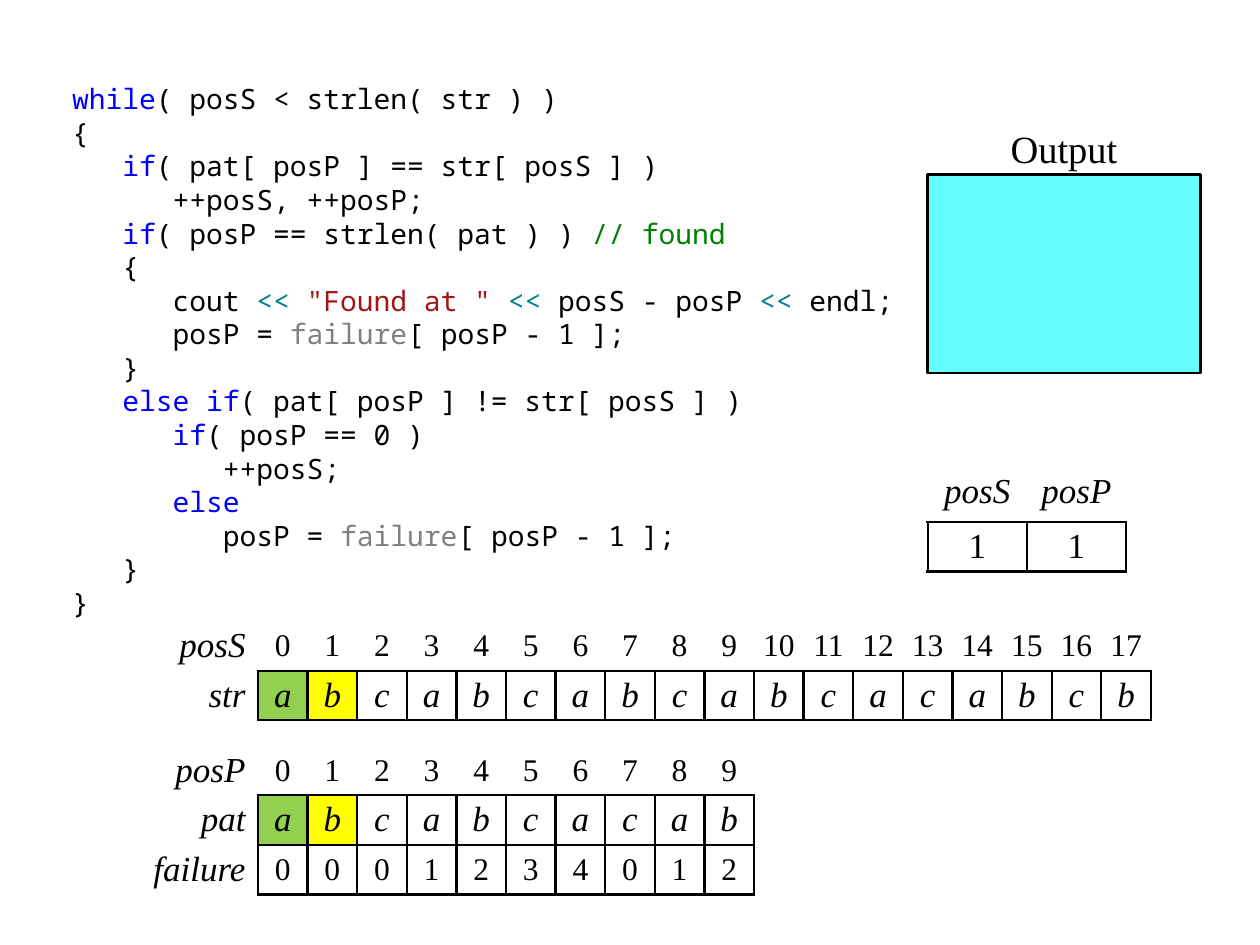
from dataclasses import dataclass, replace
from typing import NamedTuple, Optional

from lxml.etree import SubElement
from pptx import Presentation
from pptx.dml.color import RGBColor
from pptx.enum.shapes import MSO_SHAPE
from pptx.enum.text import MSO_ANCHOR, MSO_AUTO_SIZE, PP_ALIGN
from pptx.oxml.ns import qn
from pptx.util import Emu, Pt

EMU_PER_PX = 3600
CODE_FONT = "Noto Sans Mono"
SERIF_FONT = "Times New Roman"
PLAIN_TABLE_STYLE = "{2D5ABB26-0587-4C30-8999-92F81FD0307C}"
BLACK = RGBColor(0x00, 0x00, 0x00)
WHITE = RGBColor(0xFF, 0xFF, 0xFF)
BLUE = RGBColor(0x00, 0x00, 0xFF)
COMMENT_GREEN = RGBColor(0x00, 0x80, 0x00)
TEAL = RGBColor(0x00, 0x80, 0x80)
STRING_RED = RGBColor(0xA3, 0x15, 0x15)
GRAY = RGBColor(0x80, 0x80, 0x80)
CYAN = RGBColor(0x66, 0xFF, 0xFF)
MATCHED_GREEN = RGBColor(0x92, 0xD0, 0x50)
CURRENT_YELLOW = RGBColor(0xFF, 0xFF, 0x00)
LINE_WIDTH = Pt(1.5)
CELL = 100


class Span(NamedTuple):
    text: str
    color: RGBColor = BLACK


class Box(NamedTuple):
    left: int
    top: int
    width: int
    height: int

    def emu(self) -> list[Emu]:
        return [px(length) for length in self]


@dataclass(frozen=True)
class CellStyle:
    size: int = 20
    italic: bool = True
    align: PP_ALIGN = PP_ALIGN.CENTER
    anchor: MSO_ANCHOR = MSO_ANCHOR.MIDDLE
    margin: int = 25
    sides: str = ""
    fill: Optional[RGBColor] = None


class Cell(NamedTuple):
    text: str
    style: CellStyle


SHIFT = Span("<< ", TEAL)
FAILURE = Span("failure", GRAY)
IF = Span("if", BLUE)
CODE = [
    [Span("while", BLUE), Span("( posS < strlen( str ) )")],
    [Span("{")],
    [Span("   "), IF, Span("( pat[ posP ] == str[ posS ] )")],
    [Span("      ++posS, ++posP;")],
    [Span("   "), IF, Span("( posP == strlen( pat ) ) "), Span("// found", COMMENT_GREEN)],
    [Span("   {")],
    [Span("      cout "), SHIFT, Span('"Found at " ', STRING_RED), SHIFT,
     Span("posS - posP "), SHIFT, Span("endl;")],
    [Span("      posP = "), FAILURE, Span("[ posP - 1 ];")],
    [Span("   }")],
    [Span("   "), Span("else if", BLUE), Span("( pat[ posP ] != str[ posS ] )")],
    [Span("      "), IF, Span("( posP == 0 )")],
    [Span("         ++posS;")],
    [Span("      "), Span("else", BLUE)],
    [Span("         posP = "), FAILURE, Span("[ posP - 1 ];")],
    [Span("   }")],
    [Span("}")],
]

LABEL = CellStyle(align=PP_ALIGN.RIGHT)
BOXED_LABEL = replace(LABEL, sides="R")
INDEX = CellStyle(size=18, italic=False, sides="B")
LETTER = CellStyle(sides="LRTB", fill=WHITE)
NUMBER = replace(LETTER, size=18, italic=False)
COUNTER_NAME = CellStyle(anchor=MSO_ANCHOR.TOP, margin=0, sides="B")
COUNTER = CellStyle(italic=False, margin=20, sides="LRTB", fill=WHITE)


def px(length: int) -> Emu:
    return Emu(length * EMU_PER_PX)


def add_code(slide, box: Box) -> None:
    code = slide.placeholders[1]
    code.left, code.top, code.width, code.height = box.emu()
    frame = code.text_frame
    frame.word_wrap = True
    frame.auto_size = MSO_AUTO_SIZE.NONE
    frame.vertical_anchor = MSO_ANCHOR.TOP
    frame.margin_right = px(10)
    for number, line in enumerate(CODE):
        para = frame.add_paragraph() if number else frame.paragraphs[0]
        properties = para._p.get_or_add_pPr()
        properties.set("marL", "0")
        properties.set("indent", "0")
        SubElement(properties, qn("a:buNone"))
        para.space_before = Pt(0)
        para.line_spacing = Pt(19.2)
        for span in line:
            run = para.add_run()
            run.text = span.text
            run.font.name = CODE_FONT
            run.font.size = Pt(16)
            run.font.color.rgb = span.color


def format_serif(para, size: int, italic: bool, align: PP_ALIGN) -> None:
    para.alignment = align
    for run in para.runs:
        run.font.name = SERIF_FONT
        run.font.size = Pt(size)
        run.font.italic = italic
        run.font.color.rgb = BLACK


def draw_cell(table_cell, cell: Cell) -> None:
    style = cell.style
    table_cell.text_frame.text = cell.text
    format_serif(table_cell.text_frame.paragraphs[0], style.size, style.italic, style.align)
    table_cell.vertical_anchor = style.anchor
    table_cell.margin_left = table_cell.margin_right = px(style.margin)
    table_cell.margin_top = table_cell.margin_bottom = 0
    properties = table_cell._tc.get_or_add_tcPr()
    for side in style.sides:
        line = SubElement(properties, qn(f"a:ln{side}"), w=str(LINE_WIDTH))
        SubElement(SubElement(line, qn("a:solidFill")), qn("a:srgbClr"), val=str(BLACK))
    if style.fill is None:
        table_cell.fill.background()
    else:
        table_cell.fill.solid()
        table_cell.fill.fore_color.rgb = style.fill


def add_grid(slide, left: int, top: int, widths: list[int], rows: list[list[Cell]]) -> None:
    box = Box(left, top, sum(widths), CELL * len(rows))
    frame = slide.shapes.add_table(len(rows), len(widths), *box.emu())
    table = frame.table
    table.first_row = table.horz_banding = False
    table._tbl.tblPr.find(qn("a:tableStyleId")).text = PLAIN_TABLE_STYLE
    for column, width in zip(table.columns, widths):
        column.width = px(width)
    for row_number, row in enumerate(rows):
        table.rows[row_number].height = px(CELL)
        for column_number, cell in enumerate(row):
            draw_cell(table.cell(row_number, column_number), cell)


def string_rows(index_name: str, name: str, letters: str, margin: int) -> list[list[Cell]]:
    fills = [MATCHED_GREEN, CURRENT_YELLOW] + [WHITE] * (len(letters) - 2)
    index_style = replace(INDEX, margin=margin)
    return [
        [Cell(index_name, LABEL)] + [Cell(str(i), index_style) for i in range(len(letters))],
        [Cell(name, BOXED_LABEL)] + [
            Cell(letter, replace(LETTER, margin=margin, fill=fill))
            for letter, fill in zip(letters, fills)
        ],
    ]


def add_output(slide, screen_box: Box, caption_box: Box) -> None:
    screen = slide.shapes.add_shape(MSO_SHAPE.RECTANGLE, *screen_box.emu())
    screen.shadow.inherit = False
    screen.fill.solid()
    screen.fill.fore_color.rgb = CYAN
    screen.line.color.rgb = BLACK
    screen.line.width = LINE_WIDTH
    frame = slide.shapes.add_textbox(*caption_box.emu()).text_frame
    frame.word_wrap = True
    frame.margin_top = 0
    frame.text = "Output"
    format_serif(frame.paragraphs[0], 22, False, PP_ALIGN.CENTER)


def main() -> None:
    deck = Presentation()
    deck.slide_width, deck.slide_height = px(2540), px(1905)
    slide = deck.slides.add_slide(deck.slide_layouts[1])
    title = slide.shapes.title.element
    title.getparent().remove(title)
    add_code(slide, Box(120, 152, 1700, 1100))

    text = "abcabcabcabcacabcb"
    add_grid(slide, 320, 1252, [200] + [CELL] * len(text), string_rows("posS", "str", text, 10))

    counters = [[Cell("posS", COUNTER_NAME), Cell("posP", COUNTER_NAME)], [Cell("1", COUNTER)] * 2]
    add_grid(slide, 1870, 952, [200, 200], counters)

    pattern = "abcabcacab"
    failures = [Cell("failure", BOXED_LABEL)] + [Cell(digit, NUMBER) for digit in "0001234012"]
    rows = string_rows("posP", "pat", pattern, 25) + [failures]
    add_grid(slide, 270, 1503, [250] + [CELL] * len(pattern), rows)

    add_output(slide, Box(1870, 352, 550, 400), Box(1970, 252, 350, 100))
    deck.save("out.pptx")


if __name__ == "__main__":
    main()
